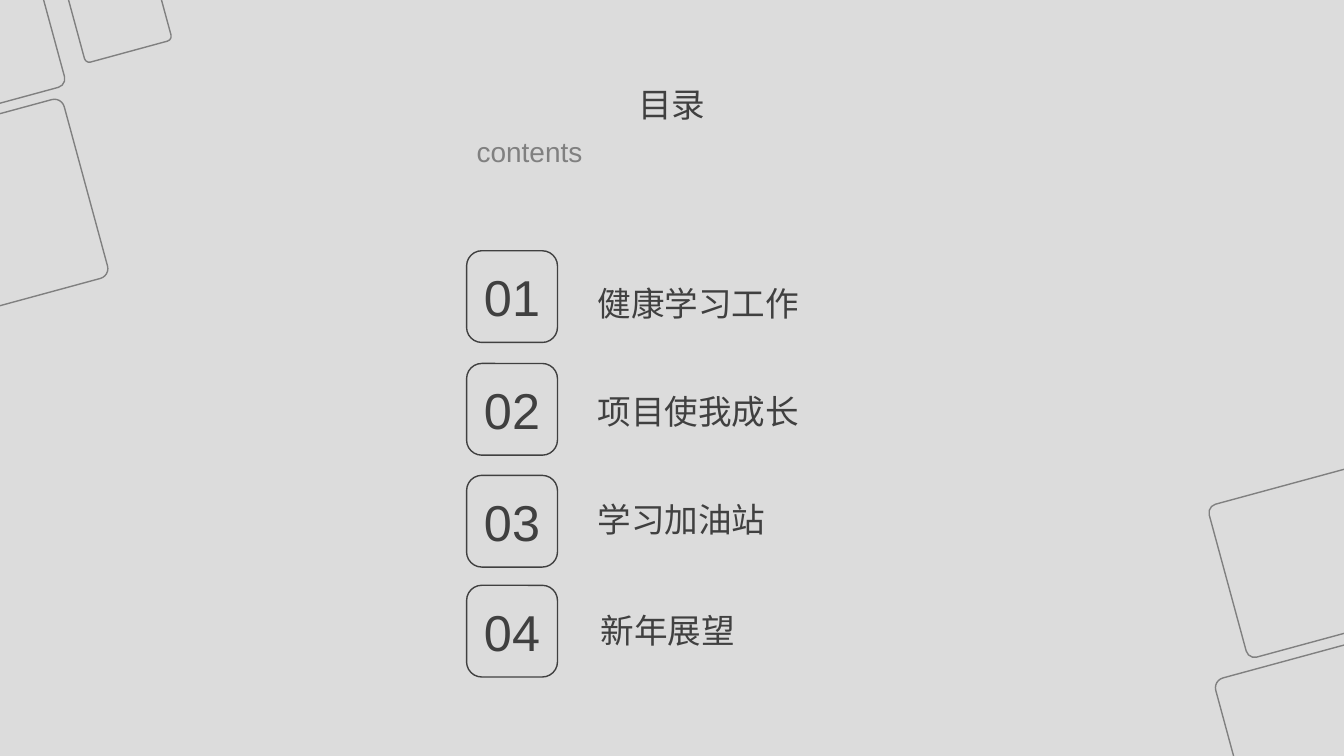
"""Build the contents slide: four numbered chapters between outlined corner tiles."""
from dataclasses import dataclass

import pptx
import pptx.dml.color
import pptx.enum.shapes
import pptx.enum.text
import pptx.util

Cm = pptx.util.Cm
RGBColor = pptx.dml.color.RGBColor
PP_ALIGN = pptx.enum.text.PP_ALIGN
MSO_ANCHOR = pptx.enum.text.MSO_ANCHOR

BACKGROUND = RGBColor(0xDC, 0xDC, 0xDC)
DARK = RGBColor(0x40, 0x40, 0x40)
GRAY = RGBColor(0x80, 0x80, 0x80)
FONT = "Arial"
TILE_ROTATION = 344.8
TILE_CORNER = 0.055
BOX_CORNER = 0.1667
BOX_LEFT, BOX_WIDTH, BOX_HEIGHT = 11.76, 2.29, 2.31
LABEL_HEIGHT = 1.47


@dataclass(frozen=True)
class Rect:
    """Hold a position and size in centimetres."""
    left: float
    top: float
    width: float
    height: float


@dataclass(frozen=True)
class Chapter:
    """Hold a chapter title, its number box top and its label frame."""
    title: str
    box_top: float
    label: Rect
    align: PP_ALIGN = PP_ALIGN.LEFT


TILES = [
    Rect(-3.38, -1.17, 4.62, 3.99),
    Rect(-3.15, 3.07, 5.41, 4.67),
    Rect(1.6, -2.62, 2.26, 3.99),
    Rect(30.86, 12.09, 4.62, 3.99),
    Rect(31.09, 16.36, 5.41, 4.67),
]

CHAPTERS = [
    Chapter("健康学习工作", 6.32, Rect(14.81, 6.91, 7.9, LABEL_HEIGHT)),
    Chapter("项目使我成长", 9.16, Rect(14.81, 9.63, 6.55, LABEL_HEIGHT)),
    Chapter("学习加油站", 11.98, Rect(14.81, 12.34, 6.55, LABEL_HEIGHT)),
    Chapter("新年展望", 14.75, Rect(12.22, 15.14, 6.55, LABEL_HEIGHT), PP_ALIGN.RIGHT),
]


def to_cm(rect: Rect) -> tuple:
    """Return the rectangle as four lengths."""
    return Cm(rect.left), Cm(rect.top), Cm(rect.width), Cm(rect.height)


def set_text(sp, text: str, size: int, color: RGBColor, align: PP_ALIGN,
             anchor: MSO_ANCHOR = MSO_ANCHOR.MIDDLE, spacing: float = 1.0) -> None:
    """Write one formatted paragraph into a shape."""
    tf = sp.text_frame
    tf.word_wrap = True
    tf.vertical_anchor = anchor
    p = tf.paragraphs[0]
    p.text = text
    p.alignment = align
    p.line_spacing = spacing
    p.font.name = FONT
    p.font.size = pptx.util.Pt(size)
    p.font.color.rgb = color


def add_outline(s, rect: Rect, color: RGBColor, corner: float):
    """Add an unfilled rounded rectangle."""
    sp = s.shapes.add_shape(pptx.enum.shapes.MSO_SHAPE.ROUNDED_RECTANGLE, *to_cm(rect))
    sp.adjustments[0] = corner
    sp.shadow.inherit = False
    sp.fill.background()
    sp.line.color.rgb = color
    sp.line.width = pptx.util.Pt(1)
    return sp


def add_chapter(s, number: int, chapter: Chapter) -> None:
    """Add a number box and its chapter title."""
    box = Rect(BOX_LEFT, chapter.box_top, BOX_WIDTH, BOX_HEIGHT)
    sp = add_outline(s, box, DARK, BOX_CORNER)
    set_text(sp, f"{number:02d}", 36, DARK, PP_ALIGN.CENTER)
    label = s.shapes.add_textbox(*to_cm(chapter.label))
    set_text(label, chapter.title, 24, DARK, chapter.align)


def main() -> None:
    """Build and save the slide."""
    prs = pptx.Presentation()
    prs.slide_width, prs.slide_height = Cm(33.87), Cm(19.05)
    s = prs.slides.add_slide(prs.slide_layouts[6])
    s.background.fill.solid()
    s.background.fill.fore_color.rgb = BACKGROUND

    for tile in TILES:
        add_outline(s, tile, GRAY, TILE_CORNER).rotation = TILE_ROTATION

    title = s.shapes.add_textbox(*to_cm(Rect(13.49, 1.7, 6.88, 1.83)))
    set_text(title, "目录", 24, DARK, PP_ALIGN.CENTER)
    subtitle = s.shapes.add_textbox(*to_cm(Rect(11.76, 2.84, 10.34, 1.37)))
    set_text(subtitle, "contents", 20, GRAY, PP_ALIGN.JUSTIFY, MSO_ANCHOR.TOP, 1.5)

    for number, chapter in enumerate(CHAPTERS, start=1):
        add_chapter(s, number, chapter)

    prs.save("out.pptx")


if __name__ == "__main__":
    main()
